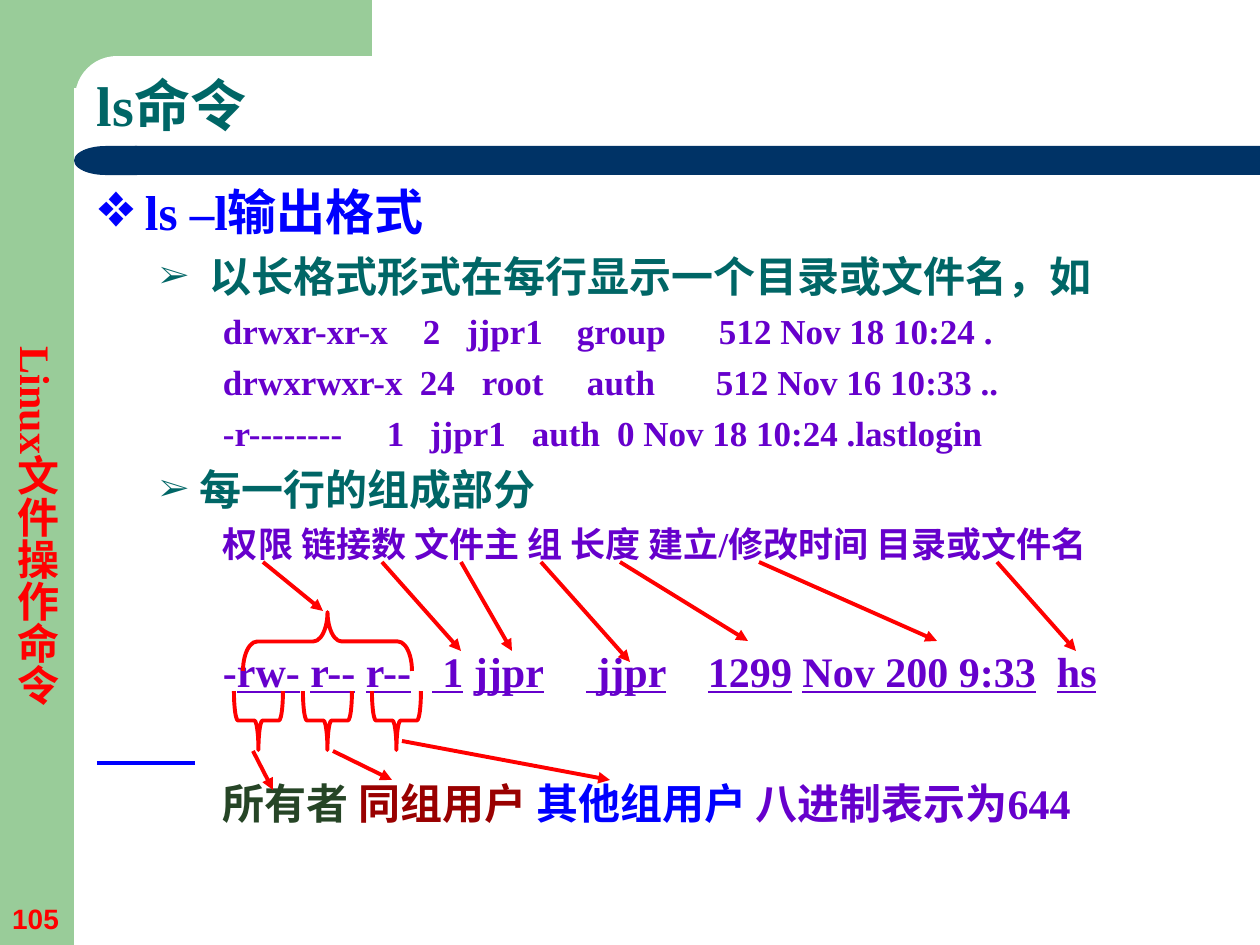
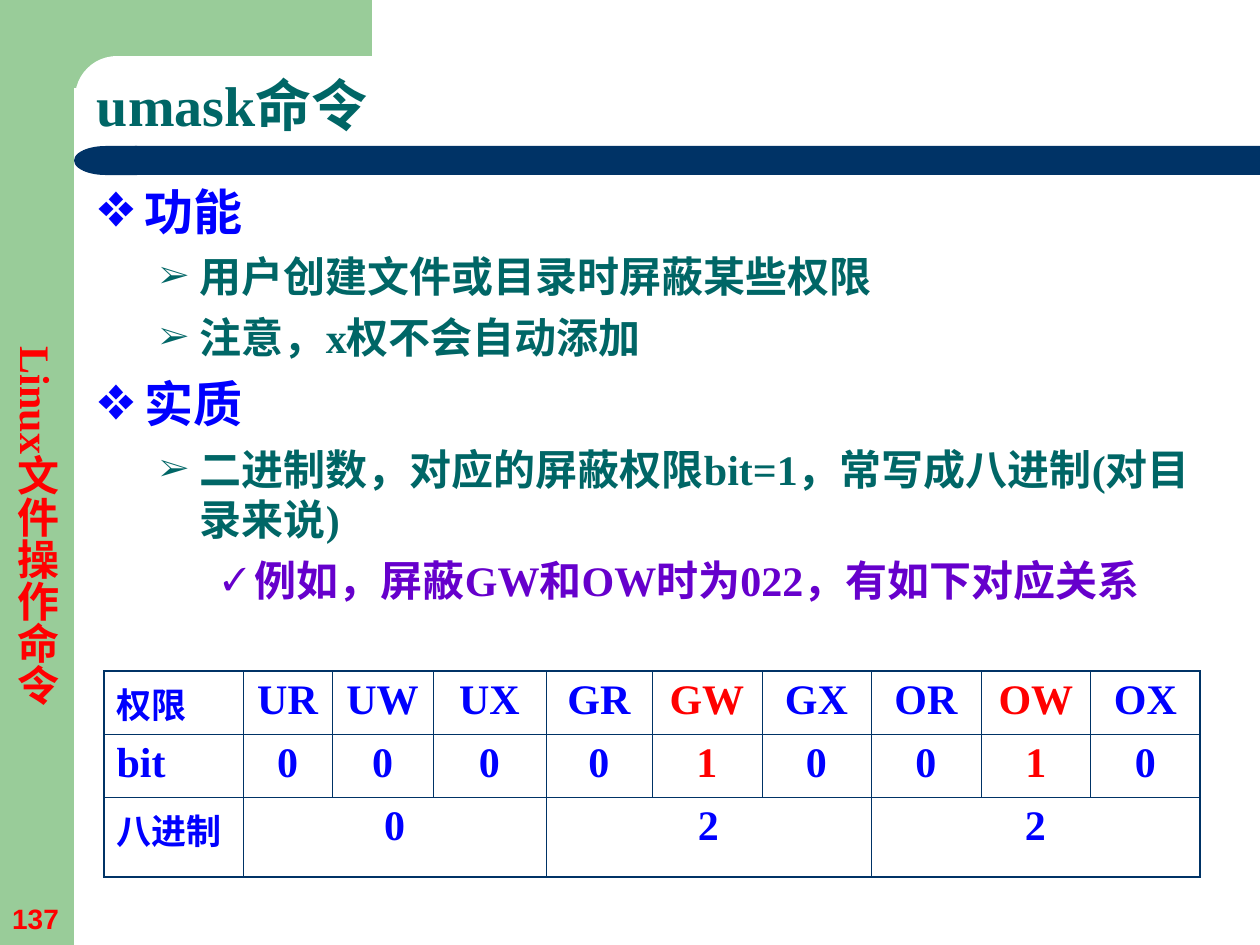
"""Build two slides on the ls and umask commands."""
from dataclasses import dataclass

from lxml.etree import SubElement
from pptx import Presentation
from pptx.dml.color import RGBColor
from pptx.enum.lang import MSO_LANGUAGE_ID as LANG
from pptx.enum.shapes import MSO_CONNECTOR as CONN, MSO_SHAPE as SHAPE
from pptx.enum.text import MSO_ANCHOR as ANCHOR, PP_ALIGN as ALIGN
from pptx.oxml import parse_xml
from pptx.oxml.ns import nsdecls, qn
from pptx.util import Emu, Pt


@dataclass(frozen=True)
class Theme:
    """Colours, fonts and type sizes."""
    band: str = "99CC99"
    white: str = "FFFFFF"
    navy: str = "003366"
    teal: str = "006666"
    blue: str = "0000FF"
    purple: str = "6600CC"
    red: str = "FF0000"
    green: str = "264526"
    maroon: str = "990000"
    serif: str = "Times New Roman"
    sans: str = "Arial"
    title: int = 32
    head: int = 28
    text: int = 24
    small: int = 20
    page: int = 16
    stroke: float = 2.25
    outer: float = 1.08
    inner: float = 0.45


T = Theme()
SIDE = "Linux文件操作命令"
STYLES = {
    "head": dict(left=48, indent=-48, before=7, bullet="❖", size=T.head, color=T.blue),
    "point": dict(level=1, left=103, indent=-40, before=6, bullet="➢", scale=75, color=T.teal),
    "check": dict(level=2, left=158, indent=-32, before=6, bullet="✓", scale=75, color=T.purple),
    "fields": dict(level=2, left=126, before=5, size=T.small, color=T.purple),
    "listing": dict(level=2, before=5, size=T.small, color=T.purple),
    "sample": dict(level=2, before=46, color=T.purple),
    "groups": dict(level=2, left=126, before=47, color=T.purple),
}

LINED = {"underline": True}
LS_BODY = [
    ("head", "ls –l输出格式", {}),
    ("point", " 以长格式形式在每行显示一个目录或文件名，如", {}),
    ("listing", "\tdrwxr-xr-x\t2\tjjpr1\tgroup\t512 Nov 18 10:24 .",
     dict(tabs=(126, 326, 370, 480, 622))),
    ("listing", "\tdrwxrwxr-x\t24\troot\tauth\t512 Nov 16 10:33 ..",
     dict(tabs=(126, 323, 385, 490, 619))),
    ("listing", "\t-r--------\t1\tjjpr1\tauth\t0 Nov 18 10:24 .lastlogin",
     dict(tabs=(126, 290, 333, 435, 520))),
    ("point", "每一行的组成部分", {}),
    ("fields", "权限 链接数 文件主 组 长度 建立/修改时间 目录或文件名", {}),
    ("sample", [("\t-", {}), ("rw-", LINED), (" ", {}), ("r--", LINED), (" ", {}),
                ("r--", LINED), ("\t", {}), (" 1", LINED), (" ", {}), ("jjpr", LINED),
                ("\t", {}), (" jjpr", LINED), ("\t", {}), ("1299", LINED), (" ", {}),
                ("Nov 200 9:33", LINED), ("\t", {}), ("hs", LINED)],
     dict(tabs=(126, 335, 489, 611, 960))),
    ("groups", [("所有者 ", {"color": T.green}), ("同组用户 ", {"color": T.maroon}),
                ("其他组用户 ", {"color": T.blue}), ("八进制表示为644", {})], {}),
]
FIELD_TOP = 562
FIELD_ARROWS = [(263, 323, 611), (382, 461, 651), (461, 512, 651), (541, 630, 662),
                (620, 748, 641), (759, 937, 641), (997, 1076, 651)]
GROUP_ARROWS = [(253, 751, 273, 790), (333, 751, 392, 780), (402, 741, 610, 780)]

UMASK_BODY = [
    ("head", "功能", {}),
    ("point", "用户创建文件或目录时屏蔽某些权限", {}),
    ("point", "注意，x权不会自动添加", {}),
    ("head", "实质", {}),
    ("point", "二进制数，对应的屏蔽权限bit=1，常写成八进制(对目录来说)", {}),
    ("check", "例如，屏蔽GW和OW时为022，有如下对应关系", {}),
]
BITS = [
    ["权限", "UR", "UW", "UX", "GR", "GW", "GX", "OR", "OW", "OX"],
    ["bit", "0", "0", "0", "0", "1", "0", "0", "1", "0"],
    ["八进制", "0", "", "", "2", "", "", "2", "", ""],
]
COLS = [139, 89, 101, 113, 106, 110, 109, 110, 110, 109]
ROWS = [63, 63, 80]
MASKED = (5, 8)


def px(n):
    """Turn pixels into EMU."""
    return Emu(round(n * 914400 / 126))


def rgb(color):
    """Return a colour object for a hex string."""
    return RGBColor.from_string(color)


def write(tf, text, first=False, size=T.text, color=T.blue, font=T.serif, align=None,
          level=0, left=0, indent=0, before=0, spacing=None, bullet=None, scale=100, tabs=()):
    """Write one paragraph from a string or a list of formatted runs."""
    p = tf.paragraphs[0] if first else tf.add_paragraph()
    p.level = level
    p.alignment = align
    p.line_spacing = spacing
    p.space_before = Pt(0 if first else before)
    pPr = p._p.get_or_add_pPr()
    pPr.set("marL", str(px(left)))
    if indent:
        pPr.set("indent", str(px(indent)))
    if bullet:
        SubElement(SubElement(pPr, qn("a:buClr")), qn("a:srgbClr"), val=color)
        SubElement(pPr, qn("a:buSzPct"), val=str(scale * 1000))
        SubElement(pPr, qn("a:buFont"), typeface=font)
        SubElement(pPr, qn("a:buChar"), char=bullet)
    else:
        SubElement(pPr, qn("a:buNone"))
    if tabs:
        stops = SubElement(pPr, qn("a:tabLst"))
        for x in tabs:
            SubElement(stops, qn("a:tab"), pos=str(px(x)), algn="l")
    for part, extra in [(text, {})] if isinstance(text, str) else text:
        r = p.add_run()
        r.text = part
        r.font.name, r.font.size, r.font.bold = font, Pt(size), True
        r.font.color.rgb = rgb(extra.get("color", color))
        r.font.underline = extra.get("underline")
        r.font.language_id = LANG.SIMPLIFIED_CHINESE


def add_box(s, box, insets=(13, 6), anchor=ANCHOR.TOP):
    """Add a wrapping text box and return its text frame."""
    tf = s.shapes.add_textbox(*map(px, box)).text_frame
    tf.word_wrap = True
    tf.vertical_anchor = anchor
    tf.margin_left = tf.margin_right = px(insets[0])
    tf.margin_top = tf.margin_bottom = px(insets[1])
    return tf


def add_block(s, kind, box, fill=None, line=None, rotation=0, adjust=None):
    """Add a plain preset shape."""
    sp = s.shapes.add_shape(kind, *map(px, box))
    sp.shadow.inherit = False
    sp.rotation = rotation
    if adjust is not None:
        sp.adjustments[0] = adjust
    if fill:
        sp.fill.solid()
        sp.fill.fore_color.rgb = rgb(fill)
    else:
        sp.fill.background()
    if line:
        sp.line.color.rgb = rgb(line)
        sp.line.width = Pt(T.stroke)
    else:
        sp.line.fill.background()


def add_line(s, x1, y1, x2, y2, color=T.red, arrow=True):
    """Add a straight line, with an arrowhead at its end if asked."""
    c = s.shapes.add_connector(CONN.STRAIGHT, *map(px, (x1, y1, x2, y2)))
    c.line.color.rgb = rgb(color)
    c.line.width = Pt(T.stroke)
    if arrow:
        SubElement(c.line._get_or_add_ln(), qn("a:tailEnd"), type="triangle")
    SubElement(c._element.spPr, qn("a:effectLst"))


def add_page(prs, title, number, body, width):
    """Add a slide with the shared bands, title, side label and body text."""
    s = prs.slides.add_slide(prs.slide_layouts[6])
    add_block(s, SHAPE.RECTANGLE, (0, 0, 74, 945), T.band)
    add_block(s, SHAPE.RECTANGLE, (74, 0, 298, 88), T.band)
    add_block(s, SHAPE.ROUNDED_RECTANGLE, (75, 56, 703, 84), T.white, adjust=0.5)
    add_block(s, SHAPE.RECTANGLE, (135, 146, 1125, 29), T.navy)
    add_block(s, SHAPE.FLOWCHART_DELAY, (74, 146, 63, 29), T.navy, rotation=180)
    write(add_box(s, (0, 894, 71, 47), (0, 6), ANCHOR.BOTTOM), number, first=True,
          size=T.page, color=T.red, font=T.sans, align=ALIGN.CENTER)
    write(add_box(s, (84, 55, 1152, 90), anchor=ANCHOR.BOTTOM), title, first=True,
          size=T.title, color=T.teal, spacing=0.9)
    tf = add_box(s, (84, 175, width, 751))
    for i, (style, text, extra) in enumerate(body):
        write(tf, text, first=i == 0, **STYLES[style], **extra)
    side = add_box(s, (5, 334, 69, 400), (6, 13), ANCHOR.BOTTOM)
    side._txBody.bodyPr.set("vert", "eaVert")
    write(side, SIDE, first=True, color=T.red, align=ALIGN.CENTER, spacing=0.9)
    return s


def set_borders(cell, **widths):
    """Give a cell its four border lines."""
    tcPr = cell._tc.get_or_add_tcPr()
    for i, (edge, width) in enumerate(widths.items()):
        tcPr.insert(i, parse_xml(
            f'<a:ln{edge} {nsdecls("a")} w="{Pt(width)}"><a:solidFill>'
            f'<a:srgbClr val="{T.navy}"/></a:solidFill></a:ln{edge}>'))


def add_bits(s, left, top):
    """Add the table of permission bits."""
    table = s.shapes.add_table(len(ROWS), len(COLS), px(left), px(top),
                               px(sum(COLS)), px(sum(ROWS))).table
    table.first_row = table.horz_banding = False
    for col, width in zip(table.columns, COLS):
        col.width = px(width)
    for row, height in zip(table.rows, ROWS):
        row.height = px(height)
    last_row, last_col = len(ROWS) - 1, len(COLS) - 1
    for c in range(1, last_col, 3):
        table.cell(last_row, c).merge(table.cell(last_row, c + 2))
    for r, values in enumerate(BITS):
        for c, value in enumerate(values):
            cell = table.cell(r, c)
            cell.fill.background()
            if cell.is_spanned:
                continue
            end = c + cell.span_width - 1 if cell.is_merge_origin else c
            set_borders(cell, L=T.outer if c == 0 else T.inner,
                        R=T.outer if end == last_col else T.inner,
                        T=T.outer if r == 0 else T.inner,
                        B=T.outer if r == last_row else T.inner)
            write(cell.text_frame, value, first=True,
                  size=T.small if c == 0 and r != 1 else T.text,
                  color=T.red if c in MASKED else T.blue,
                  align=ALIGN.CENTER if c else ALIGN.LEFT)


def main():
    """Build and save both slides."""
    prs = Presentation()
    prs.slide_width, prs.slide_height = px(1260), px(945)

    s = add_page(prs, "ls命令", "105", LS_BODY, 1176)
    add_line(s, 97, 763, 195, 763, T.blue, arrow=False)
    for x1, x2, y2 in FIELD_ARROWS:
        add_line(s, x1, FIELD_TOP, x2, y2)
    for i in range(3):
        add_block(s, SHAPE.LEFT_BRACE, (229 + 69 * i, 696, 59, 49), line=T.red, rotation=270)
    add_block(s, SHAPE.LEFT_BRACE, (298, 557, 59, 169), line=T.red, rotation=90, adjust=0.24)
    for ends in GROUP_ARROWS:
        add_line(s, *ends)

    s = add_page(prs, "umask命令", "137", UMASK_BODY, 1152)
    add_bits(s, 104, 671)
    prs.save("out.pptx")


if __name__ == "__main__":
    main()
